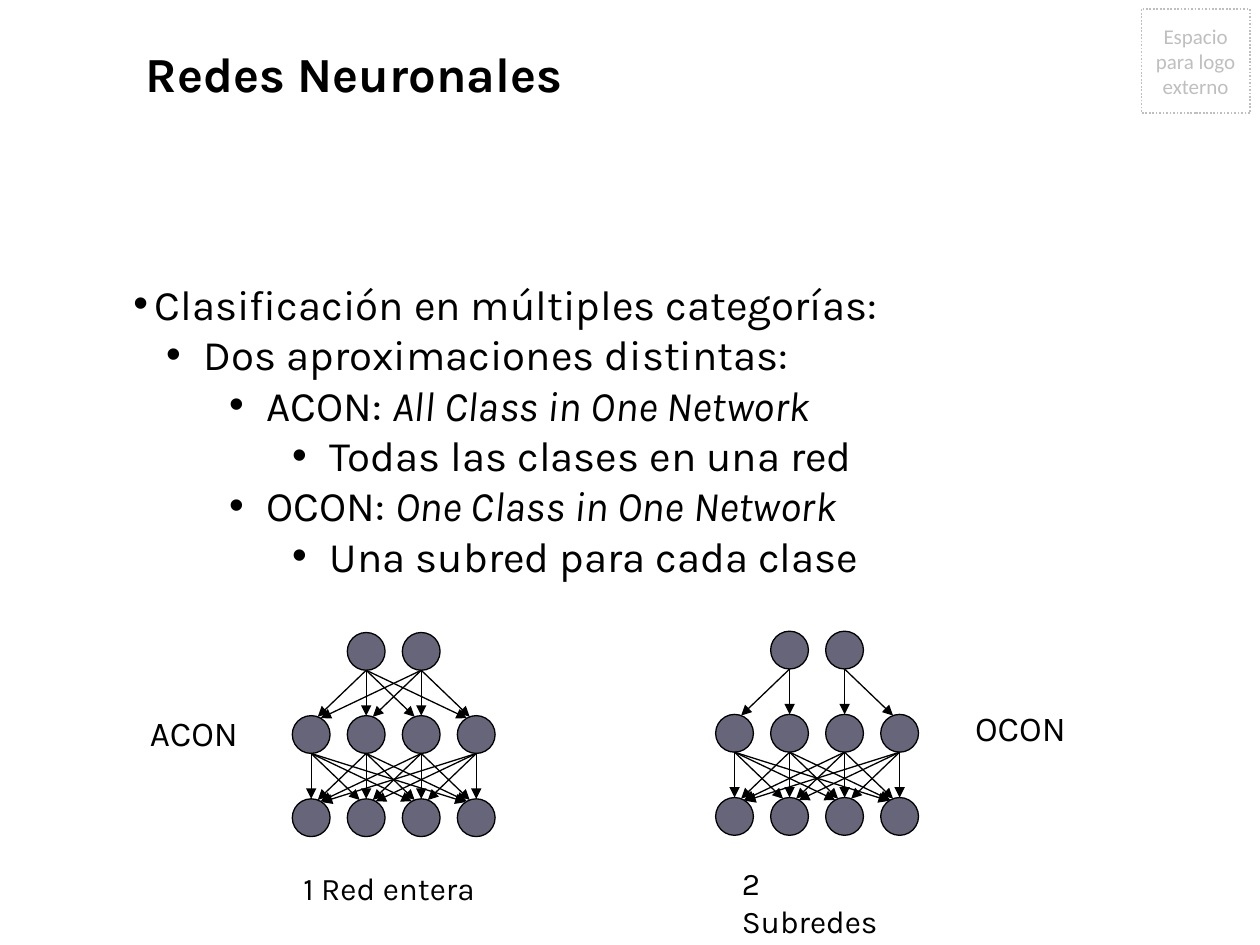
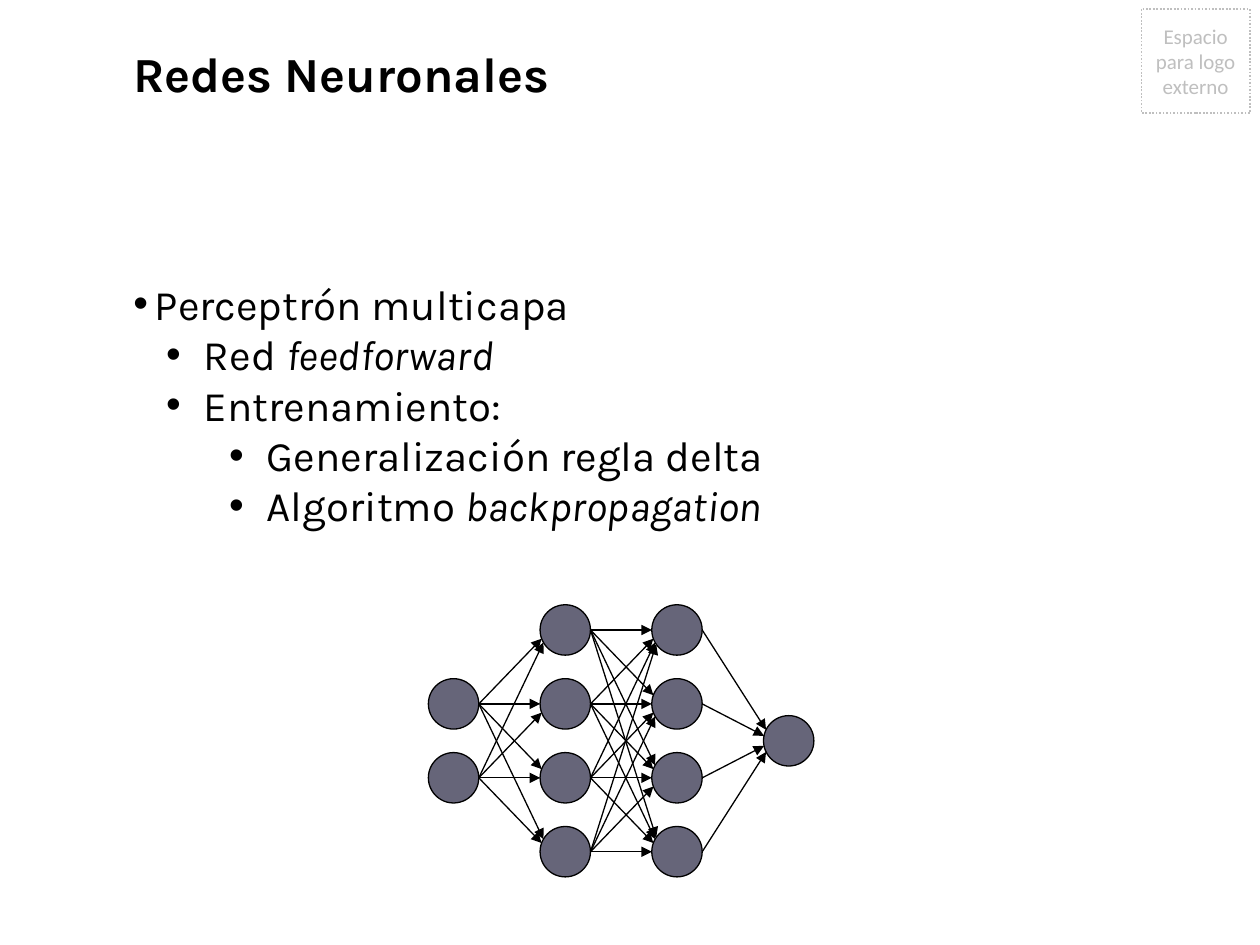
import math
from itertools import pairwise, product

from lxml import etree
from pptx import Presentation
from pptx.dml.color import RGBColor
from pptx.enum.dml import MSO_LINE
from pptx.enum.shapes import MSO_CONNECTOR, MSO_SHAPE
from pptx.enum.text import MSO_ANCHOR, PP_ALIGN
from pptx.oxml.ns import qn
from pptx.util import Inches, Pt

ROUND_DOT = MSO_LINE.ROUND_DOT
STRAIGHT = MSO_CONNECTOR.STRAIGHT
OVAL, RECTANGLE = MSO_SHAPE.OVAL, MSO_SHAPE.RECTANGLE
MIDDLE, CENTER = MSO_ANCHOR.MIDDLE, PP_ALIGN.CENTER

COLORS = {"text": "000000", "line": "000000", "neuron": "666579", "logo": "BFBFBF"}
BODY_FONT, LOGO_FONT = "Karla", "Calibri"
TITLE = "Redes Neuronales"


def rgb(name):
    return RGBColor.from_string(COLORS[name])


def inches(values):
    return [Inches(value) for value in values]


def style_font(font, size, color="text", name=BODY_FONT):
    font.size = Pt(size)
    font.name = name
    font.color.rgb = rgb(color)


def add_label(slide, box, text, size, bold=False, wrap=False):
    text_frame = slide.shapes.add_textbox(*inches(box)).text_frame
    text_frame.word_wrap = wrap
    text_frame.text = text
    font = text_frame.paragraphs[0].runs[0].font
    style_font(font, size)
    font.bold = bold


def add_logo_space(slide, box):
    shape = slide.shapes.add_shape(RECTANGLE, *inches(box))
    shape.shadow.inherit = False
    shape.fill.background()
    shape.line.color.rgb = rgb("logo")
    shape.line.width = Pt(1)
    shape.line.dash_style = ROUND_DOT
    text_frame = shape.text_frame
    text_frame.word_wrap = True
    text_frame.vertical_anchor = MIDDLE
    text_frame.text = "Espacio para logo externo"
    paragraph = text_frame.paragraphs[0]
    paragraph.alignment = CENTER
    style_font(paragraph.runs[0].font, 12, "logo", LOGO_FONT)


def add_bullet(paragraph):
    level = paragraph.level
    margin, hanging = (0.06 + 0.5 * level, 0.3) if level else (0.17, 0.17)
    properties = paragraph._p.get_or_add_pPr()
    properties.set("marL", str(Inches(margin)))
    properties.set("indent", str(-Inches(hanging)))
    etree.SubElement(properties, qn("a:buFont")).set("typeface", "Arial")
    etree.SubElement(properties, qn("a:buChar")).set("char", "•")


def add_outline(slide, box, items):
    """Each item is a level, a plain text and an optional text in italics."""
    text_frame = slide.shapes.add_textbox(*inches(box)).text_frame
    text_frame.word_wrap = True
    for index, (level, plain, *emphasis) in enumerate(items):
        paragraph = text_frame.add_paragraph() if index else text_frame.paragraphs[0]
        paragraph.level = level
        add_bullet(paragraph)
        for text, italic in [(plain, False)] + [(word, True) for word in emphasis]:
            run = paragraph.add_run()
            run.text = text
            style_font(run.font, 24)
            run.font.italic = italic


def add_neuron(group, center, diameter):
    left, top = (value - diameter / 2 for value in center)
    neuron = group.shapes.add_shape(OVAL, *inches((left, top, diameter, diameter)))
    neuron.shadow.inherit = False
    neuron.fill.solid()
    neuron.fill.fore_color.rgb = rgb("neuron")
    neuron.line.color.rgb = rgb("line")
    neuron.line.width = Pt(0.75)


def add_arrow(group, start, end):
    arrow = group.shapes.add_connector(STRAIGHT, *inches((*start, *end)))
    arrow.line.color.rgb = rgb("line")
    arrow.line.width = Pt(0.75)
    etree.SubElement(arrow.line._get_or_add_ln(), qn("a:tailEnd")).set("type", "triangle")
    etree.SubElement(arrow._element.spPr, qn("a:effectLst"))


def add_network(slide, box, layers, diameter, downward=False, first_links=None):
    """Draw centred layers, each linked to the next one, rightward or downward.

    first_links lists the linked pairs of the first two layers; by default all are.
    """
    left, top, width, height = box
    if downward:
        origin, depth, middle, breadth = top, height, left + width / 2, width
    else:
        origin, depth, middle, breadth = left, width, top + height / 2, height
    radius = diameter / 2
    layer_step = (depth - diameter) / (len(layers) - 1)
    node_step = (breadth - diameter) / (max(layers) - 1)

    def to_slide(along, across):
        return (across, along) if downward else (along, across)

    network = [
        [(origin + radius + layer * layer_step, middle + (node - (count - 1) / 2) * node_step)
         for node in range(count)]
        for layer, count in enumerate(layers)
    ]
    group = slide.shapes.add_group_shape()
    for center in (node for layer in network for node in layer):
        add_neuron(group, to_slide(*center), diameter)

    for index, (sources, targets) in enumerate(pairwise(network)):
        links = product(range(len(sources)), range(len(targets)))
        if index == 0 and first_links:
            links = first_links
        for source, target in links:
            start = (sources[source][0] + radius, sources[source][1])
            along, across = targets[target]
            # Arrive halfway between the facing side and the line of sight
            angle = math.atan2(across - start[1], along - start[0]) / 2
            end = (along - radius * math.cos(angle), across - radius * math.sin(angle))
            add_arrow(group, to_slide(*start), to_slide(*end))


def add_base_slide(presentation, title_left, outline):
    slide = presentation.slides.add_slide(presentation.slide_layouts[6])
    add_logo_space(slide, (9.06, 0.07, 0.86, 0.83))
    add_label(slide, (title_left, 0.3, 3.76, 0.57), TITLE, 28, bold=True)
    add_outline(slide, (0.96, 2.16, 8.82, 0.1 + 0.4 * len(outline)), outline)
    return slide


def add_classification_slide(presentation):
    slide = add_base_slide(presentation, 1.06, [
        (0, "Clasificación en múltiples categorías:"),
        (1, "Dos aproximaciones distintas:"),
        (2, "ACON: ", "All Class in One Network"),
        (3, "Todas las clases en una red"),
        (2, "OCON: ", "One Class in One Network"),
        (3, "Una subred para cada clase"),
    ])
    layers = (2, 4, 4)
    add_network(slide, (2.32, 5.02, 1.61, 1.62), layers, 0.3, downward=True)
    add_network(slide, (5.68, 5.01, 1.61, 1.62), layers, 0.3, downward=True,
                first_links=[(0, 0), (0, 1), (1, 2), (1, 3)])
    add_label(slide, (1.09, 5.6, 0.92, 0.43), "ACON", 20)
    add_label(slide, (7.64, 5.56, 0.95, 0.43), "OCON", 20)
    add_label(slide, (2.31, 6.85, 1.64, 0.4), "1 Red entera", 18)
    add_label(slide, (5.79, 6.81, 1.35, 0.7), "2 Subredes", 18, wrap=True)


def add_perceptron_slide(presentation):
    slide = add_base_slide(presentation, 0.96, [
        (0, "Perceptrón multicapa"),
        (1, "Red ", "feedforward"),
        (1, "Entrenamiento:"),
        (2, "Generalización regla delta"),
        (2, "Algoritmo ", "backpropagation"),
    ])
    add_network(slide, (3.4, 4.8, 3.06, 2.16), (2, 4, 4, 1), 0.4)


def main():
    presentation = Presentation()
    presentation.slide_width, presentation.slide_height = Inches(10), Inches(7.5)
    add_classification_slide(presentation)
    add_perceptron_slide(presentation)
    presentation.save("out.pptx")


if __name__ == "__main__":
    main()
